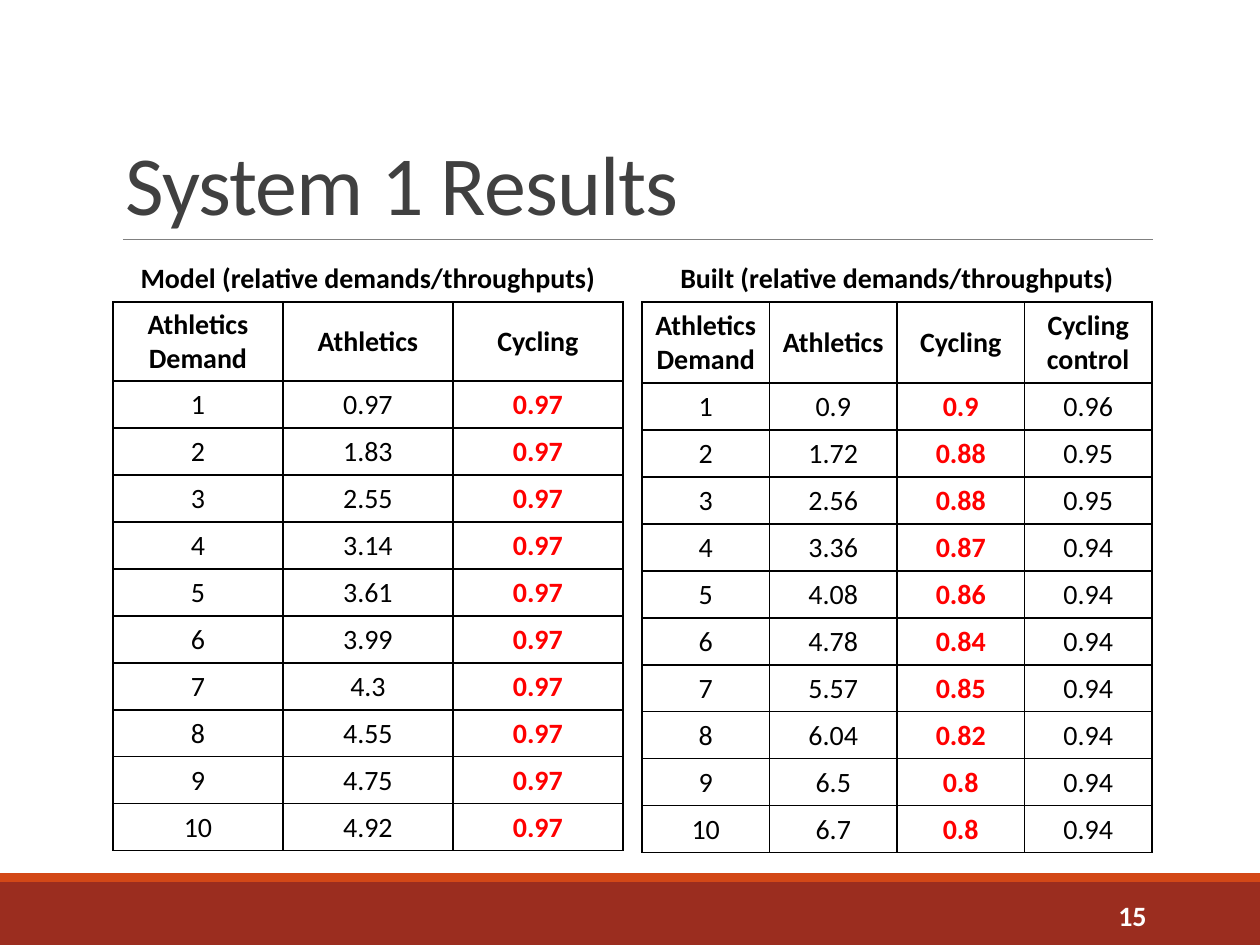
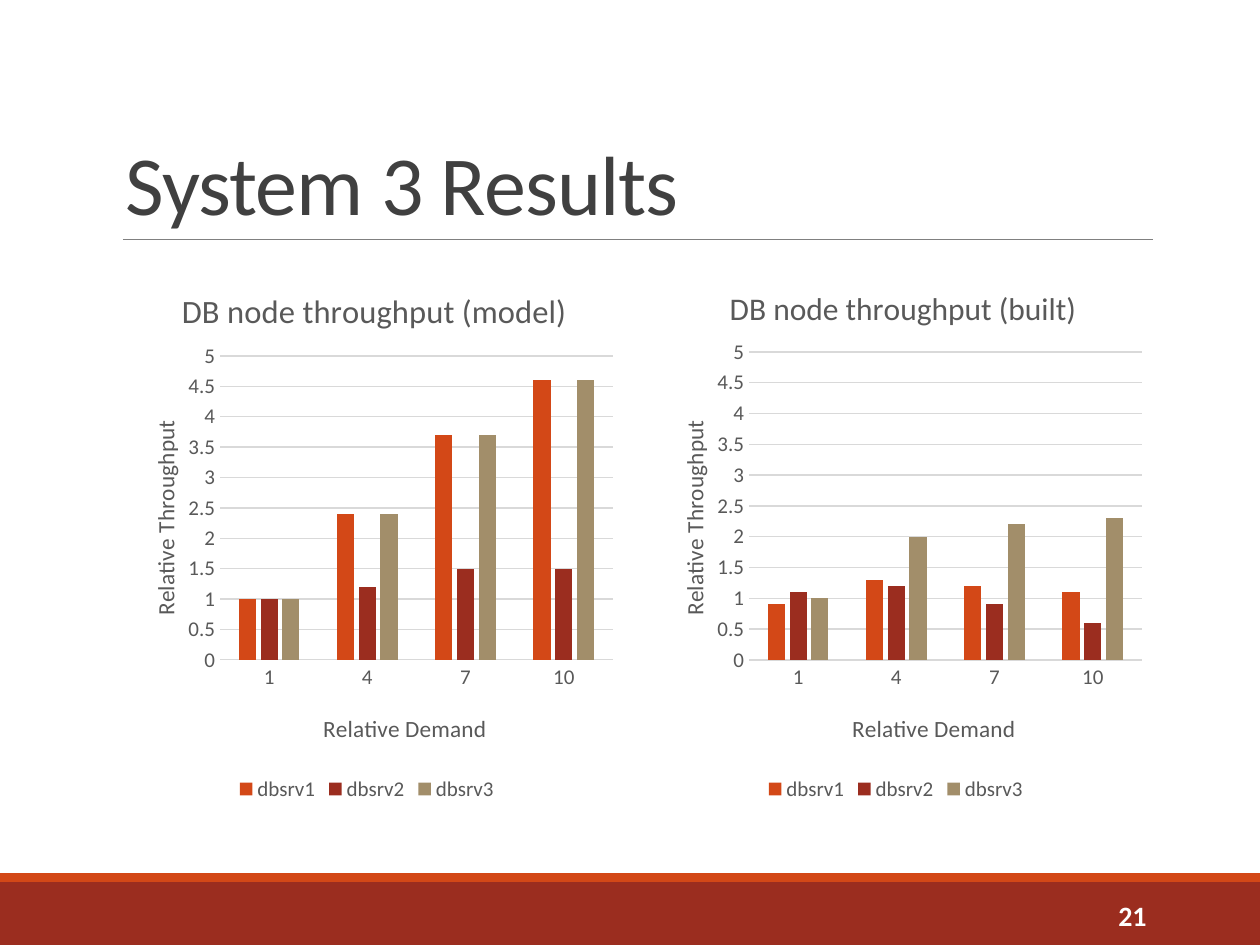
from lxml import etree
from pptx import Presentation
from pptx.chart.data import CategoryChartData
from pptx.dml.color import RGBColor
from pptx.enum.chart import XL_CHART_TYPE, XL_LEGEND_POSITION, XL_TICK_MARK
from pptx.enum.shapes import MSO_CONNECTOR, MSO_SHAPE
from pptx.enum.text import MSO_ANCHOR, MSO_AUTO_SIZE, PP_ALIGN
from pptx.oxml.ns import qn
from pptx.util import Emu, Pt

COLUMNS = XL_CHART_TYPE.COLUMN_CLUSTERED
LEGEND_BOTTOM = XL_LEGEND_POSITION.BOTTOM
NO_TICK = XL_TICK_MARK.NONE
STRAIGHT = MSO_CONNECTOR.STRAIGHT
RECTANGLE = MSO_SHAPE.RECTANGLE
MIDDLE, BOTTOM = MSO_ANCHOR.MIDDLE, MSO_ANCHOR.BOTTOM
CENTER, RIGHT = PP_ALIGN.CENTER, PP_ALIGN.RIGHT
NO_FIT = MSO_AUTO_SIZE.NONE

FONT = "Calibri"
BLACK, WHITE, RED = "000000", "FFFFFF", "FF0000"
BRICK, ORANGE, TAN = "9B2D1F", "D34817", "A28E6A"
TITLE_GRAY, CHART_GRAY, RULE_GRAY, GRID_GRAY = "404040", "595959", "808080", "D9D9D9"

PX = 914400 / 126
SLIDE_SIZE = (1260, 945)
BANDS = [((0, 882, 1260, 63), BRICK), ((0, 873, 1260, 9), ORANGE)]
RULE = (123, 239, 1153, 239)
TITLE_BOX = (113, 39, 1040, 200)
NUMBER_BOX = (1023, 890, 136, 50)
PANEL_LEFTS = (113, 642)
PANEL_TOP, PANEL_WIDTH, CHART_HEIGHT = 254, 510, 554
CAPTION_HEIGHT, ROW_HEIGHT = 48, 47
NO_STYLE = "{2D5ABB26-0587-4C30-8999-92F81FD0307C}"

TABLES = [
    {
        "caption": "Model (relative demands/throughputs)",
        "header": ["Athletics Demand", "Athletics", "Cycling"],
        "header_height": 79,
        "columns": [
            ["0.97", "1.83", "2.55", "3.14", "3.61", "3.99", "4.3", "4.55", "4.75", "4.92"],
            ["0.97"] * 10,
        ],
    },
    {
        "caption": "Built (relative demands/throughputs)",
        "header": ["Athletics Demand", "Athletics", "Cycling", "Cycling control"],
        "header_height": 81,
        "columns": [
            ["0.9", "1.72", "2.56", "3.36", "4.08", "4.78", "5.57", "6.04", "6.5", "6.7"],
            ["0.9", "0.88", "0.88", "0.87", "0.86", "0.84", "0.85", "0.82", "0.8", "0.8"],
            ["0.96", "0.95", "0.95"] + ["0.94"] * 7,
        ],
    },
]

DEMANDS = ["1", "4", "7", "10"]
SERVER_COLORS = {"dbsrv1": ORANGE, "dbsrv2": BRICK, "dbsrv3": TAN}
CHARTS = [
    {
        "title": "DB node throughput (model)",
        "title_size": 18.6,
        "title_at": (63, 28),
        "plot": (107, 102, 393, 304),
        "values": [[1, 2.4, 3.7, 4.6], [1, 1.2, 1.5, 1.5], [1, 2.4, 3.7, 4.6]],
    },
    {
        "title": "DB node throughput (built)",
        "title_size": 18,
        "title_at": (82, 27),
        "plot": (107, 98, 393, 308),
        "values": [[0.9, 1.3, 1.2, 1.1], [1.1, 1.2, 0.9, 0.6], [1, 2, 2.2, 2.3]],
    },
]
AXIS_TITLES = {
    "category_axis": ("Relative Demand", (206, 454)),
    "value_axis": ("Relative Throughput", (32, 162)),
}
LEGEND_AT = (120, 522)


def color(code):
    return RGBColor.from_string(code)


def emu(*lengths):
    return [Emu(round(length * PX)) for length in lengths]


def set_all(target, values):
    for name, value in values.items():
        setattr(target, name, value)


def style_font(font, size, code, bold=False):
    set_all(font, {"name": FONT, "size": Pt(size), "bold": bold})
    font.color.rgb = color(code)


def write(frame, text, size, code, bold=False, align=None):
    para = frame.paragraphs[0]
    para.alignment = align
    span = para.add_run()
    span.text = text
    style_font(span.font, size, code, bold)
    return para, span


def style_line(line, code, width):
    line.color.rgb = color(code)
    line.width = Pt(width)


def add_page(deck, title, number):
    page = deck.slides.add_slide(deck.slide_layouts[5])
    for bounds, code in BANDS:
        band = page.shapes.add_shape(RECTANGLE, *emu(*bounds))
        band.shadow.inherit = False
        band.fill.solid()
        band.fill.fore_color.rgb = color(code)
        band.line.fill.background()
    rule = page.shapes.add_connector(STRAIGHT, *emu(*RULE))
    style_line(rule.line, RULE_GRAY, 0.5)
    etree.SubElement(rule._element.spPr, qn("a:effectLst"))

    heading = page.shapes.title
    set_all(heading, dict(zip(("left", "top", "width", "height"), emu(*TITLE_BOX))))
    set_all(heading.text_frame, {"vertical_anchor": BOTTOM, "word_wrap": True, "auto_size": NO_FIT})
    para, span = write(heading.text_frame, title, 48, TITLE_GRAY, align=PP_ALIGN.LEFT)
    para.line_spacing = 0.85
    span.font._element.set("spc", "-50")

    box = page.shapes.add_textbox(*emu(*NUMBER_BOX))
    set_all(box.text_frame, {"vertical_anchor": MIDDLE, "word_wrap": True})
    write(box.text_frame, number, 16, WHITE, True, RIGHT)
    return page


def add_borders(cell):
    properties = cell._tc.get_or_add_tcPr()
    for position, side in enumerate(("lnL", "lnR", "lnT", "lnB")):
        line = etree.Element(qn(f"a:{side}"), w=str(Pt(1)))
        fill = etree.SubElement(line, qn("a:solidFill"))
        etree.SubElement(fill, qn("a:srgbClr"), val=BLACK)
        properties.insert(position, line)


def add_results_table(page, left, content):
    header = content["header"]
    demands = [str(demand) for demand in range(1, 11)]
    rows = [header, *zip(demands, *content["columns"])]
    heights = [CAPTION_HEIGHT, content["header_height"]] + [ROW_HEIGHT] * len(demands)
    bounds = emu(left, PANEL_TOP, PANEL_WIDTH, sum(heights))
    table = page.shapes.add_table(len(heights), len(header), *bounds).table
    set_all(table, {"first_row": False, "horz_banding": False})
    table._tbl.tblPr.find(qn("a:tableStyleId")).text = NO_STYLE
    for column in table.columns:
        column.width = emu(PANEL_WIDTH / len(header))[0]
    for row, height in zip(table.rows, heights):
        row.height = emu(height)[0]

    margin = emu(1)[0]
    for cell in table.iter_cells():
        set_all(cell, {"margin_left": margin, "margin_right": margin, "margin_top": margin,
                       "margin_bottom": 0, "vertical_anchor": MIDDLE})
        cell.fill.background()
    caption = table.cell(0, 0)
    caption.merge(table.cell(0, len(header) - 1))
    write(caption.text_frame, content["caption"], 16, BLACK, True, CENTER)
    for row_index, values in enumerate(rows, 1):
        for column_index, value in enumerate(values):
            cell = table.cell(row_index, column_index)
            is_header = row_index == 1
            is_cycling = column_index == 2 and not is_header
            write(cell.text_frame, value, 16, RED if is_cycling else BLACK,
                  is_header or is_cycling, CENTER)
            add_borders(cell)


def place(element, index, bounds, inner=False):
    for old in element.findall(qn("c:layout")):
        element.remove(old)
    layout = etree.Element(qn("c:layout"))
    manual = etree.SubElement(layout, qn("c:manualLayout"))
    if inner:
        etree.SubElement(manual, qn("c:layoutTarget"), val="inner")
    for name in ("xMode", "yMode"):
        etree.SubElement(manual, qn(f"c:{name}"), val="edge")
    extents = (PANEL_WIDTH, CHART_HEIGHT) * 2
    for name, length, extent in zip("xywh", bounds, extents):
        etree.SubElement(manual, qn(f"c:{name}"), val=f"{length / extent:.4f}")
    element.insert(index, layout)


def add_throughput_chart(page, left, content):
    data = CategoryChartData()
    data.categories = DEMANDS
    for server, values in zip(SERVER_COLORS, content["values"]):
        data.add_series(server, values)
    bounds = emu(left, PANEL_TOP, PANEL_WIDTH, CHART_HEIGHT)
    chart = page.shapes.add_chart(COLUMNS, *bounds, data).chart
    style_font(chart.font, 12, CHART_GRAY)

    plot = chart.plots[0]
    set_all(plot, {"gap_width": 219, "overlap": -27, "vary_by_categories": False})
    for series, code in zip(plot.series, SERVER_COLORS.values()):
        series.format.fill.solid()
        series.format.fill.fore_color.rgb = color(code)
    place(chart._chartSpace.chart.plotArea, 0, content["plot"], inner=True)

    write(chart.chart_title.text_frame, content["title"], content["title_size"], CHART_GRAY)
    place(chart.chart_title._element, 1, content["title_at"])
    for name, (text, position) in AXIS_TITLES.items():
        axis = getattr(chart, name)
        set_all(axis, {"major_tick_mark": NO_TICK, "minor_tick_mark": NO_TICK})
        style_font(axis.tick_labels.font, 12, CHART_GRAY)
        write(axis.axis_title.text_frame, text, 13.3, CHART_GRAY)
        place(axis.axis_title._element, 1, position)
    style_line(chart.category_axis.format.line, GRID_GRAY, 0.75)
    value_axis = chart.value_axis
    set_all(value_axis, {"minimum_scale": 0, "maximum_scale": 5, "major_unit": 0.5})
    value_axis.axis_title.text_frame._txBody.bodyPr.set("rot", "-5400000")
    value_axis.format.line.fill.background()
    style_line(value_axis.major_gridlines.format.line, GRID_GRAY, 0.75)

    chart.has_legend = True
    set_all(chart.legend, {"position": LEGEND_BOTTOM, "include_in_layout": False})
    style_font(chart.legend.font, 12, CHART_GRAY)
    place(chart.legend._element, 1, LEGEND_AT)


def main():
    deck = Presentation()
    deck.slide_width, deck.slide_height = emu(*SLIDE_SIZE)
    pages = [
        ("System 1 Results", "15", TABLES, add_results_table),
        ("System 3 Results", "21", CHARTS, add_throughput_chart),
    ]
    for title, number, panels, add_panel in pages:
        page = add_page(deck, title, number)
        for left, content in zip(PANEL_LEFTS, panels):
            add_panel(page, left, content)
    deck.save("out.pptx")


if __name__ == "__main__":
    main()
